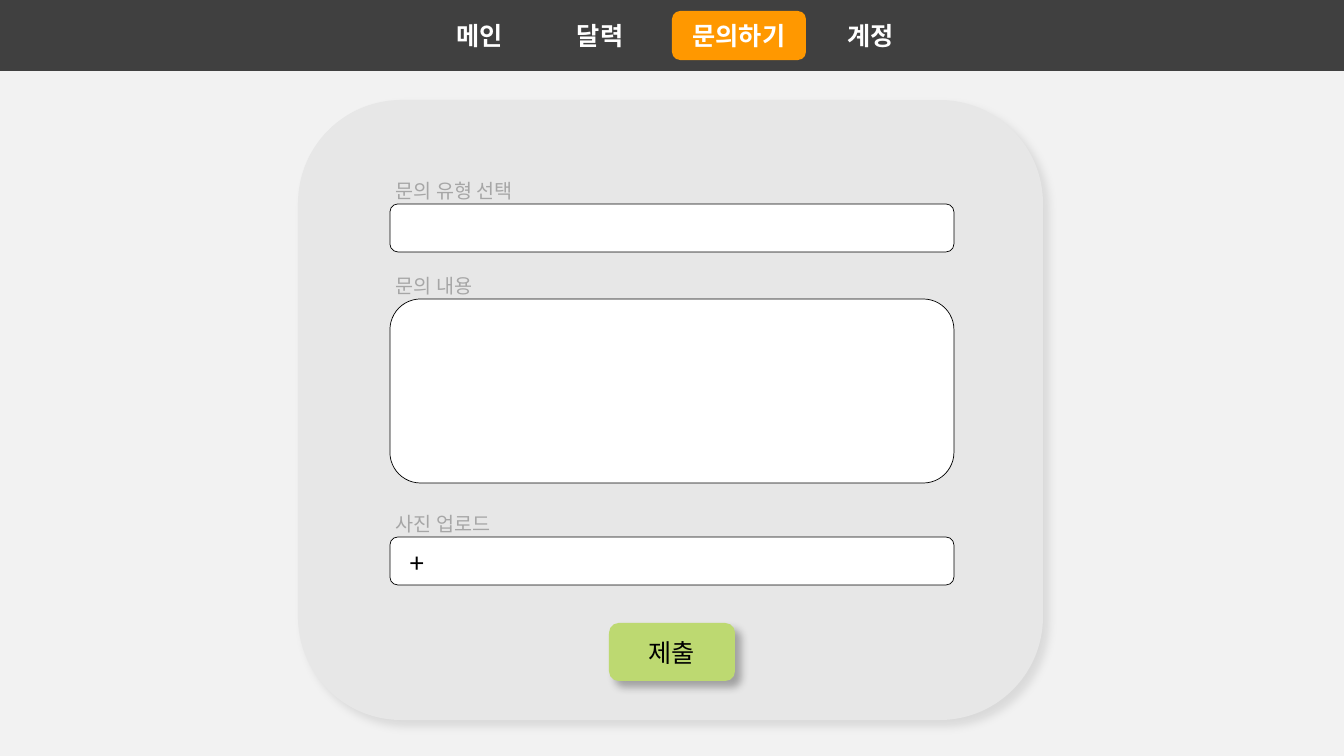
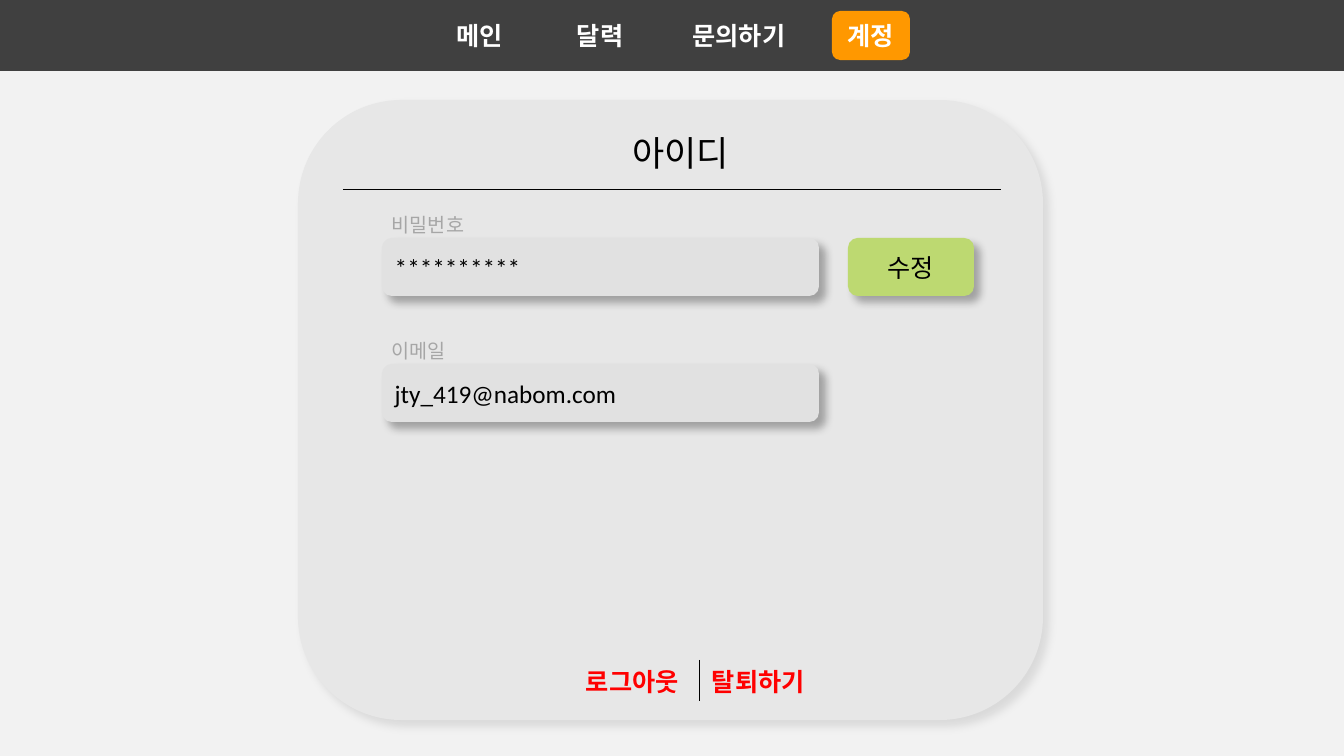
from lxml import etree
from pptx import Presentation
from pptx import util as u
from pptx.dml.color import RGBColor
from pptx.enum import shapes, text
from pptx.oxml.ns import qn

PX = 914400 / 100.8  # EMU in one px
FONT = "Calibri"
COLORS = {
    "page": "F2F2F2", "bar": "404040", "active": "FF9800", "card": "E7E7E7",
    "white": "FFFFFF", "black": "000000", "label": "A6A6A6",
    "button": "BDD971", "field": "E1E1E1", "danger": "FF0000",
}
RGB = {name: RGBColor.from_string(value) for name, value in COLORS.items()}
ROUND = shapes.MSO_SHAPE.ROUNDED_RECTANGLE
LEFT, CENTER = text.PP_ALIGN.LEFT, text.PP_ALIGN.CENTER
TOP, MIDDLE = text.MSO_ANCHOR.TOP, text.MSO_ANCHOR.MIDDLE


def write(shape, words, size=18, color="black", bold=False, align=LEFT, anchor=TOP):
    frame = shape.text_frame
    frame.word_wrap = True
    frame.auto_size = text.MSO_AUTO_SIZE.NONE
    frame.vertical_anchor = anchor
    paragraph = frame.paragraphs[0]
    paragraph.alignment = align
    run = paragraph.add_run()
    run.text = words
    run.font.name, run.font.size, run.font.bold = FONT, u.Pt(size), bold
    run.font.color.rgb = RGB[color]


def place(slide, area, kind=None, fill=None, line=None, shadow=0):
    """Add a preset shape, or a text box when no kind is given; shadow is opacity in %."""
    area = [round(n * PX) for n in area]
    if kind is None:
        return slide.shapes.add_textbox(*area)
    shape = slide.shapes.add_shape(kind, *area)
    if fill:
        shape.fill.solid()
        shape.fill.fore_color.rgb = RGB[fill]
    else:
        shape.fill.background()
    if line:
        shape.line.color.rgb = RGB[line]
        shape.line.width = u.Pt(0.5)
    else:
        shape.line.fill.background()
    shape.shadow.inherit = False
    if shadow:
        effects = shape.element.spPr.find(qn("a:effectLst"))
        outer = etree.SubElement(
            effects, qn("a:outerShdw"), blurRad=str(u.Pt(6)), dist=str(u.Pt(6)),
            dir=str(45 * 60000), algn="tl", rotWithShape="0")
        tint = etree.SubElement(outer, qn("a:srgbClr"), val=COLORS["black"])
        etree.SubElement(tint, qn("a:alpha"), val=str(shadow * 1000))
    return shape


deck = Presentation()
deck.slide_width, deck.slide_height = round(1344 * PX), round(756 * PX)
inquiry = deck.slides.add_slide(deck.slide_layouts[6])
account = deck.slides.add_slide(deck.slide_layouts[5])

# Shared frame: page colour, menu bar and card
MENU = [("메인", 437, 86), ("달력", 557, 86), ("문의하기", 672, 134), ("계정", 832, 78)]
for slide, current in ((inquiry, "문의하기"), (account, "계정")):
    slide.background.fill.solid()
    slide.background.fill.fore_color.rgb = RGB["page"]
    place(slide, (0, 0, 1344, 71), shapes.MSO_SHAPE.RECTANGLE, "bar")
    for name, left, width in MENU:
        tab = place(slide, (left, 11, width, 49), ROUND,
                    "active" if name == current else None)
        write(tab, name, color="white", bold=True, align=CENTER, anchor=MIDDLE)
    place(slide, (298, 100, 745, 620), ROUND, "card", shadow=10)

# Inquiry form
for label, top, height in (("문의 유형 선택", 204, 48), ("문의 내용", 299, 184),
                           ("사진 업로드", 537, 48)):
    write(place(inquiry, (386, top - 30, 147, 33)), label, size=14, color="label")
    place(inquiry, (390, top, 564, height), ROUND, "white", "black")
write(place(inquiry, (400, 540, 32, 43)), "+", size=20)

# Account heading, brought in front of the card
heading = account.shapes.title
heading.left, heading.top, heading.width, heading.height = (
    round(n * PX) for n in (622, 126, 132, 51))
write(heading, "아이디", size=25)
account.shapes.element.append(heading.element)

# Account fields
for label, value, top in (("비밀번호", "**********", 238),
                          ("이메일", "jty_419@nabom.com", 364)):
    field = place(account, (382, top, 437, 58), ROUND, "field", shadow=30)
    write(field, value, anchor=MIDDLE)
    write(place(account, (382, top - 30, 125, 32)), label, size=14, color="label")

# Green buttons
for slide, name, left, top in ((inquiry, "제출", 609, 623), (account, "수정", 848, 238)):
    button = place(slide, (left, top, 126, 58), ROUND, "button", shadow=30)
    write(button, name, align=CENTER, anchor=MIDDLE)

# Account exits
for name, left in (("로그아웃", 576), ("탈퇴하기", 702)):
    write(place(account, (left, 661, 130, 40)), name, color="danger", bold=True)

# Rule under the heading and divider between the exits
for ends in ((343, 189, 1001, 189), (699, 660, 699, 701)):
    rule = account.shapes.add_connector(
        shapes.MSO_CONNECTOR.STRAIGHT, *(round(n * PX) for n in ends))
    rule.line.color.rgb = RGB["black"]
    rule.line.width = u.Pt(0.05)
    etree.SubElement(rule.element.spPr, qn("a:effectLst"))

deck.save("out.pptx")
